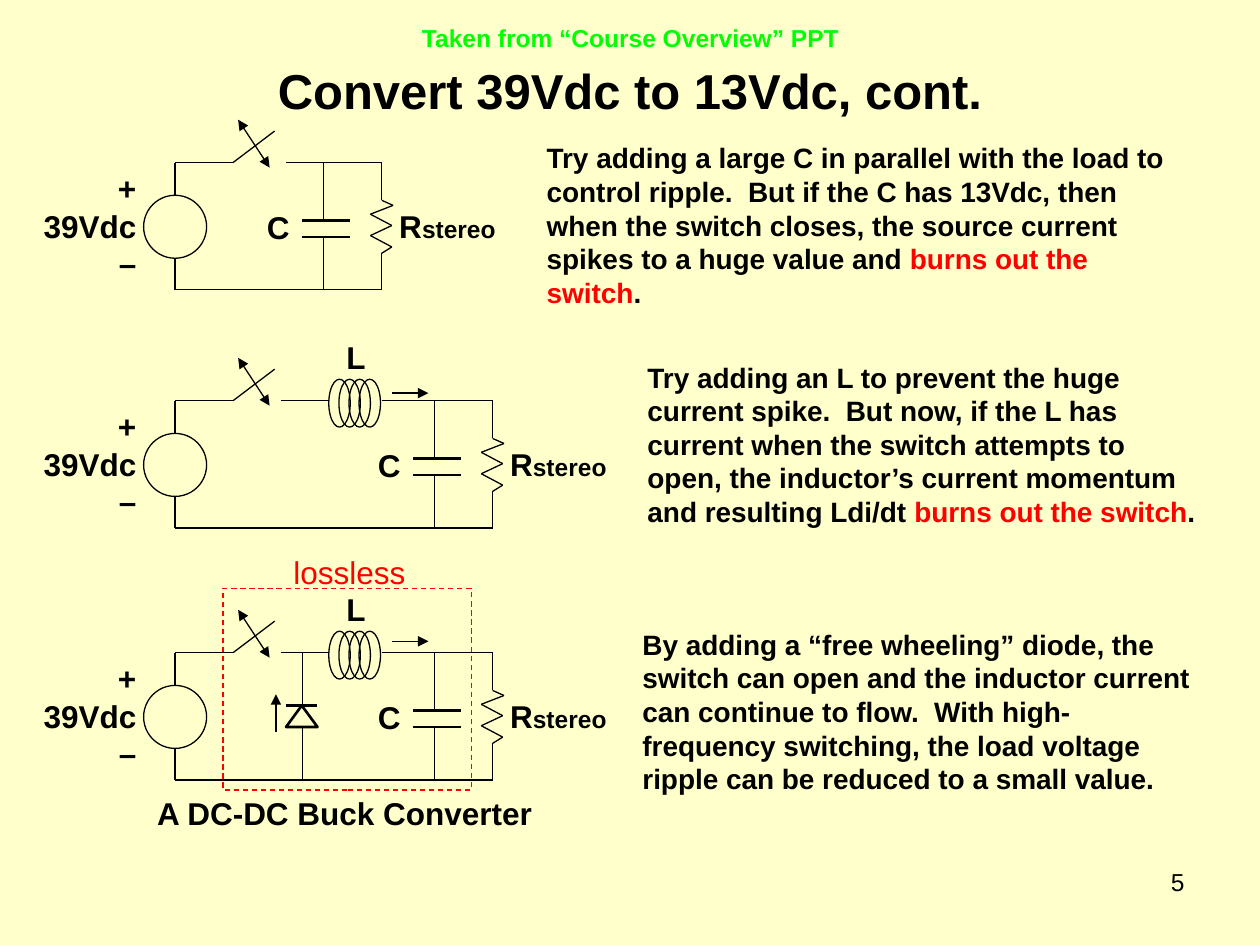
from itertools import cycle
from lxml.etree import SubElement
from pptx import Presentation
from pptx.dml.color import RGBColor
from pptx.enum.dml import MSO_LINE
from pptx.enum.shapes import MSO_CONNECTOR, MSO_SHAPE
from pptx.enum.text import MSO_ANCHOR, MSO_AUTO_SIZE, PP_ALIGN
from pptx.oxml.ns import qn
from pptx.util import Inches, Pt

BLACK, RED, GREEN, CREAM = "000000", "FF0000", "00FF00", "FFFFCC"
hue = RGBColor.from_string


def write(box, text, sizes=(18,), hues=(BLACK,), bold=True,
          align=PP_ALIGN.LEFT, fit=MSO_AUTO_SIZE.SHAPE_TO_FIT_TEXT):
    frame = box.text_frame
    frame.word_wrap = True
    frame.auto_size = fit
    for i, row in enumerate(text.split("\n")):
        para = frame.add_paragraph() if i else frame.paragraphs[0]
        para.alignment = align
        for part, size, tint in zip(row.split("|"), cycle(sizes), cycle(hues)):
            run = para.add_run()
            run.text = part
            run.font.name = "Arial"
            run.font.size = Pt(size)
            run.font.bold = bold
            run.font.color.rgb = hue(tint)


def draw(home, spot, kind=None, tint=BLACK, width=0.75, ends=()):
    spot = [Inches(v) for v in spot]
    if kind is None:
        item = home.add_connector(MSO_CONNECTOR.STRAIGHT, *spot)
        SubElement(item._element.spPr, qn("a:effectLst"))
    else:
        item = home.add_shape(kind, *spot)
        item.fill.background()
        item.shadow.inherit = False
    item.line.color.rgb = hue(tint)
    item.line.width = Pt(width)
    for end in ends:
        SubElement(item.line._get_or_add_ln(), qn("a:" + end)).set("type", "triangle")
    return item


deck = Presentation()
deck.slide_width, deck.slide_height = Inches(10), Inches(7.5)
slide = deck.slides.add_slide(deck.slide_layouts[5])
slide.background.fill.solid()
slide.background.fill.fore_color.rgb = hue(CREAM)
shapes = slide.shapes

title = shapes.title
title.left, title.top = Inches(0.5), Inches(0.25)
title.width, title.height = Inches(9), Inches(0.93)
title.text_frame.vertical_anchor = MSO_ANCHOR.MIDDLE
write(title, "Convert 39Vdc to 13Vdc, cont.", sizes=(28,),
      align=PP_ALIGN.CENTER, fit=MSO_AUTO_SIZE.NONE)

notes = [
    (4.24, 1.07, 5.25, "Try adding a large C in parallel with the load to control ripple.  "
     "But if the C has 13Vdc, then when the switch closes, the source current "
     "spikes to a huge value and |burns out the switch|."),
    (5.04, 2.81, 4.58, "Try adding an L to prevent the huge current spike.  But now, if the L "
     "has current when the switch attempts to open, the inductor’s current "
     "momentum and resulting Ldi/dt |burns out the switch|."),
    (5, 4.93, 4.58, "By adding a “free wheeling” diode, the switch can open and the inductor "
     "current can continue to flow.  With high-frequency switching, the load "
     "voltage ripple can be reduced to a small value."),
]
for left, top, width, text in notes:
    box = shapes.add_textbox(Inches(left), Inches(top), Inches(width), Inches(1.44))
    write(box, text, sizes=(16,), hues=(BLACK, RED))

for top, load, coil, diode in [(1.29, 3.03, False, False),
                               (3.18, 3.91, True, False),
                               (5.18, 3.91, True, True)]:
    art = shapes.add_group_shape().shapes
    base = top + 1.01
    cap = load - 0.46

    draw(art, (1.14, top + 0.26, 0.5, 0.5), MSO_SHAPE.OVAL)
    wires = [
        (1.39, top + 0.26, 1.39, top), (1.39, base, 1.39, top + 0.76),
        (1.39, top, 1.85, top), (1.39, base, load, base),
        (1.85, top, 2.18, top - 0.25),
        (load, top, load, top + 0.3), (load, top + 0.72, load, base),
        (cap, top, cap, top + 0.46), (cap, top + 0.59, cap, base),
    ]
    zigzag = [(0, 0.3), (0.09, 0.34), (-0.09, 0.41), (0.08, 0.5),
              (-0.09, 0.58), (0.08, 0.67), (0, 0.72)]
    for (x1, y1), (x2, y2) in zip(zigzag, zigzag[1:]):
        wires.append((load + x1, top + y1, load + x2, top + y2))
    if coil:
        wires += [(2.23, top, 2.61, top), (3.03, top, load, top)]
    else:
        wires.append((2.27, top, load, top))
    if diode:
        wires += [(2.4, top, 2.4, top + 0.42), (2.4, top + 0.59, 2.4, base)]
    for wire in wires:
        draw(art, wire)

    draw(art, (1.89, top - 0.34, 2.14, top + 0.04), ends=("headEnd", "tailEnd"))
    for drop in (0.46, 0.59):
        draw(art, (load - 0.63, top + drop, load - 0.25, top + drop), width=1.5)

    labels = [
        (load + 0.04, top + 0.3, 1.01, 0.4, "R|stereo", PP_ALIGN.LEFT),
        (load - 1.01, top + 0.31, 0.38, 0.4, "C", PP_ALIGN.LEFT),
        (0.09, top, 1.09, 1, "+\n39Vdc\n–", PP_ALIGN.RIGHT),
    ]
    if coil:
        labels.append((2.65, top - 0.55, 0.38, 0.4, "L", PP_ALIGN.LEFT))
        for turn in range(4):
            draw(art, (2.61 + turn * 0.08, top - 0.17, 0.17, 0.38), MSO_SHAPE.OVAL)
        rise = 0.09 if diode else 0.06
        draw(art, (3.11, top - rise, 3.4, top - rise), ends=("tailEnd",))
    if diode:
        labels.append((0.97, 6.25, 3.53, 0.4, "A DC-DC Buck Converter", PP_ALIGN.CENTER))
        draw(art, (2.27, top + 0.42, 0.25, 0.17), MSO_SHAPE.ISOSCELES_TRIANGLE, width=1.5)
        draw(art, (2.27, top + 0.42, 2.52, top + 0.42), width=1.5)
        draw(art, (2.19, top + 0.63, 2.19, top + 0.33), ends=("tailEnd",))
    for *spot, text, align in labels:
        box = art.add_textbox(*[Inches(v) for v in spot])
        write(box, text, sizes=(18, 14), align=align)

frame = draw(shapes, (1.77, 4.67, 1.97, 1.6), MSO_SHAPE.RECTANGLE, tint=RED)
frame.line.dash_style = MSO_LINE.DASH

box = shapes.add_textbox(Inches(2.23), Inches(4.34), Inches(1.22), Inches(0.4))
write(box, "lossless", hues=(RED,), bold=False)
box = shapes.add_textbox(Inches(0.16), Inches(0.13), Inches(9.69), Inches(0.34))
write(box, "Taken from “Course Overview” PPT", sizes=(14,), hues=(GREEN,),
      align=PP_ALIGN.CENTER)
box = shapes.add_textbox(Inches(7.17), Inches(6.83), Inches(2.33), Inches(0.52))
write(box, "5", sizes=(14,), bold=False, align=PP_ALIGN.RIGHT, fit=MSO_AUTO_SIZE.NONE)

deck.save("out.pptx")
